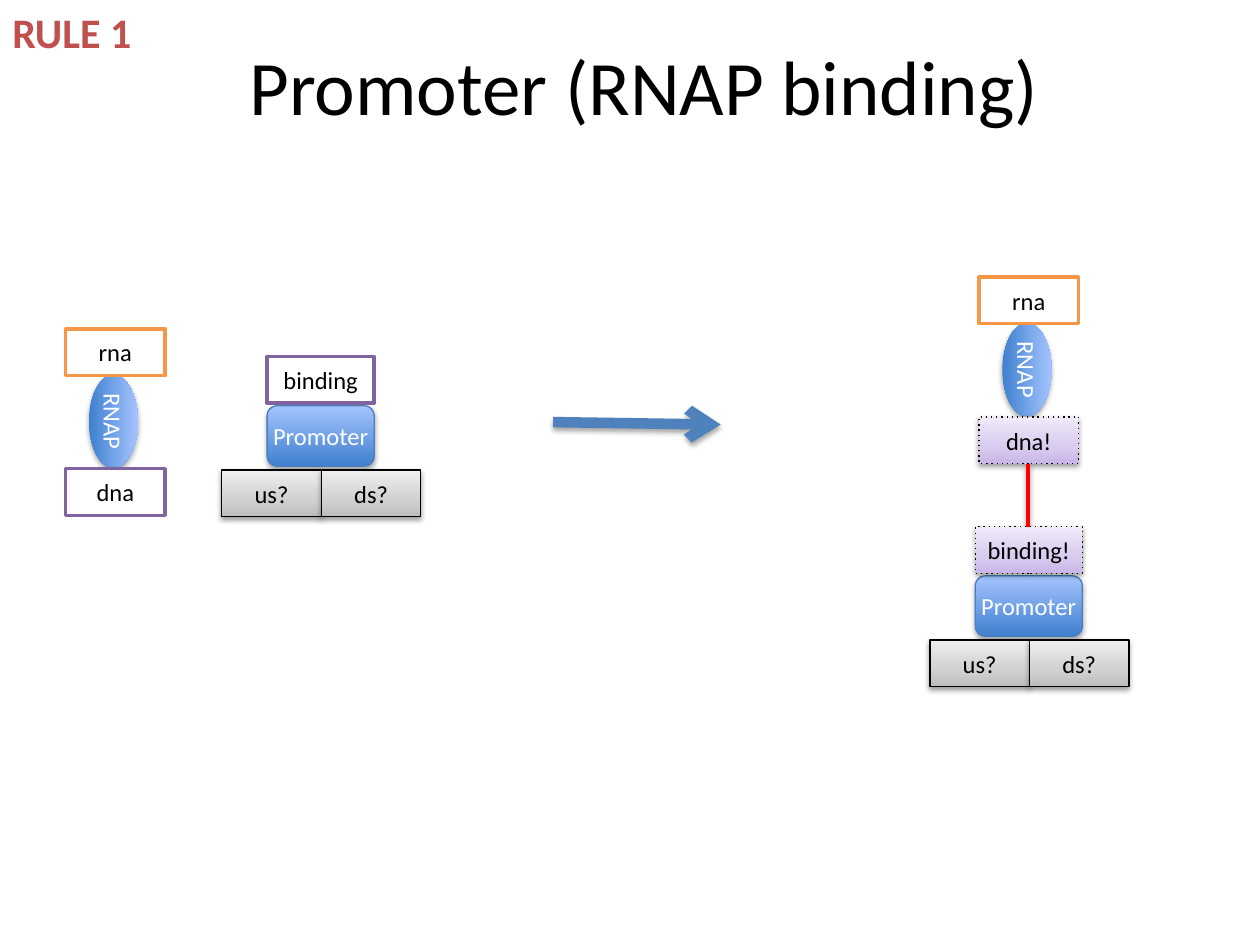
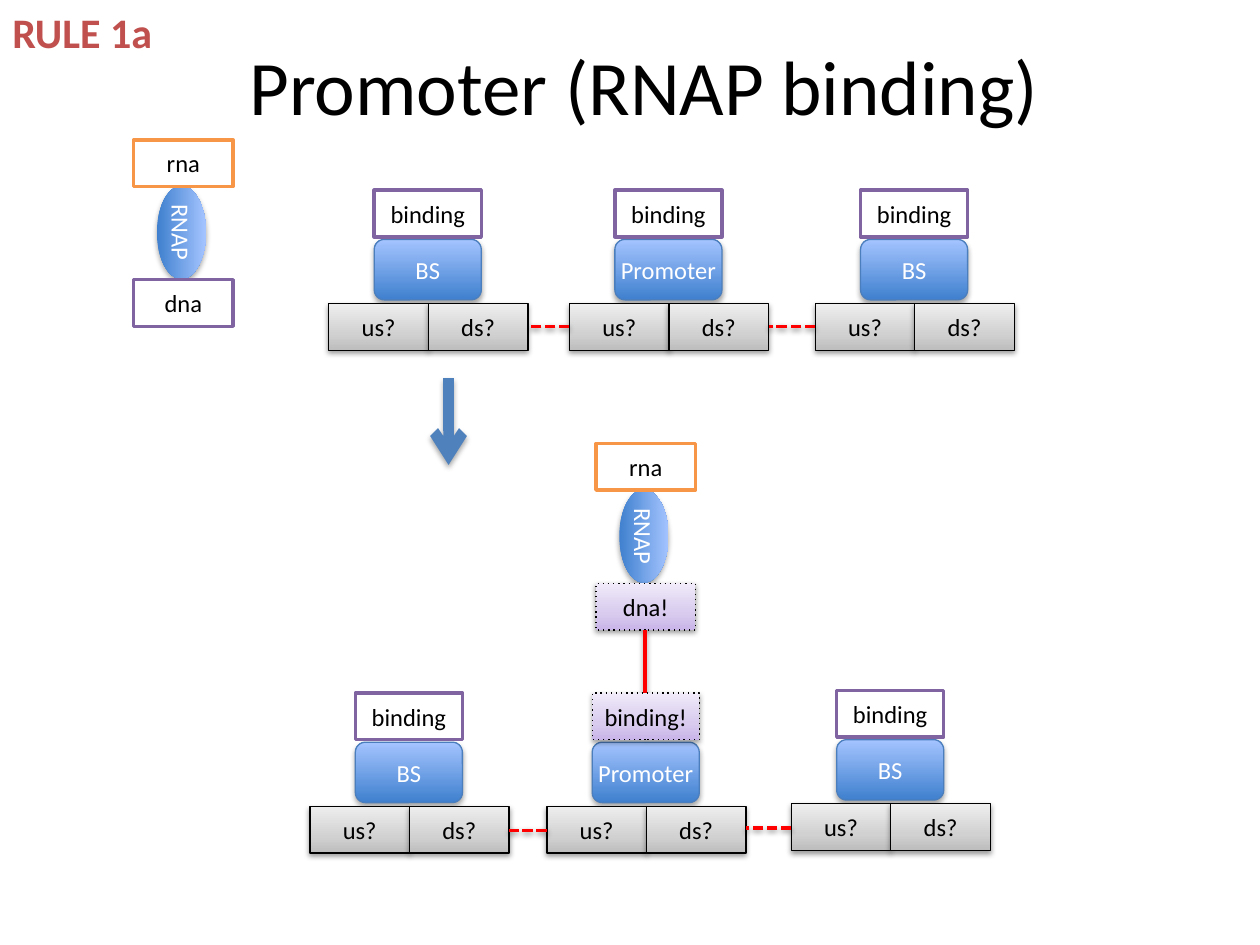
from lxml import etree
from pptx import Presentation
from pptx import util as u
from pptx.dml.color import RGBColor
from pptx.enum import shapes, text
from pptx.oxml.ns import qn

SCALE = u.Inches(1) // 100
FONT = "Calibri"
BLACK = RGBColor(0x00, 0x00, 0x00)
WHITE = RGBColor(0xFF, 0xFF, 0xFF)
RED = RGBColor(0xFF, 0x00, 0x00)
RULE_RED = RGBColor(0xC0, 0x50, 0x4D)
PURPLE = RGBColor(0x80, 0x64, 0xA2)
ORANGE = RGBColor(0xF7, 0x96, 0x46)
ARROW_BLUE = RGBColor(0x4F, 0x81, 0xBD)
EDGE_BLUE = RGBColor(0x4B, 0x7E, 0xBC)
BLUE_GRADIENT = ((0, RGBColor(0x3F, 0x80, 0xCE)), (100, RGBColor(0xA4, 0xC4, 0xFF)))
GREY_GRADIENT = (
    (0, RGBColor(0xBD, 0xBD, 0xBD)),
    (35, RGBColor(0xD1, 0xD1, 0xD1)),
    (100, RGBColor(0xEE, 0xEE, 0xEE)),
)
PURPLE_GRADIENT = (
    (0, RGBColor(0xC9, 0xB5, 0xE8)),
    (35, RGBColor(0xD8, 0xCB, 0xEE)),
    (100, RGBColor(0xF0, 0xEA, 0xF9)),
)
STRONG_SHADOW = (35, 1.8)
SOFT_SHADOW = (38, 1.6)

SITE_WIDTH, SITE_HEIGHT = 79, 37
BINDING_WIDTH, BODY_HEIGHT = 85, 48
RNAP_LENGTH, RNAP_WIDTH = 74, 39
DNA_DROP = 111
BODY_DROP, ENDS_DROP = 39, 90
US_OFFSET, DS_OFFSET = -36, 43


def px(value):
    return u.Emu(value * SCALE)


def write(frame, content, size=14, color=BLACK, bold=False, align=text.PP_ALIGN.CENTER,
          anchor=text.MSO_ANCHOR.MIDDLE, wrap=True, inset=4):
    frame.word_wrap = wrap
    frame.vertical_anchor = anchor
    frame.margin_left = frame.margin_right = px(inset)
    frame.margin_top = frame.margin_bottom = px(5)
    paragraph = frame.paragraphs[0]
    paragraph.alignment = align
    run = paragraph.add_run()
    run.text = content
    run.font.name = FONT
    run.font.size = u.Pt(size)
    run.font.bold = bold
    run.font.color.rgb = color


def add_child(parent, tag, **attributes):
    child = etree.SubElement(parent, qn(tag))
    for name, value in attributes.items():
        child.set(name, str(value))
    return child


class Diagram:
    def __init__(self):
        self.presentation = Presentation()
        self.presentation.slide_width = px(1000)
        self.presentation.slide_height = px(750)
        self.slide = None

    def start_slide(self, title, rule, rule_width):
        self.slide = self.presentation.slides.add_slide(self.presentation.slide_layouts[6])
        self.label(title, 23, 5, 977, 125, size=44, inset=10)
        self.label(rule, 0, 0, rule_width, 50, size=24, color=RULE_RED, bold=True,
                   align=text.PP_ALIGN.LEFT, anchor=text.MSO_ANCHOR.TOP, wrap=False, inset=10)

    def label(self, content, left, top, width, height, **style):
        box = self.slide.shapes.add_textbox(px(left), px(top), px(width), px(height))
        write(box.text_frame, content, **style)

    def outline(self, line, color, weight, dash=None):
        line.color.rgb = color
        line.width = u.Pt(weight)
        if dash:
            add_child(line._ln, "a:prstDash", val=dash)

    def shadow(self, properties, strength):
        effects = properties.find(qn("a:effectLst"))
        if effects is None:
            effects = add_child(properties, "a:effectLst")
        opacity, distance = strength
        outer = add_child(effects, "a:outerShdw", blurRad=u.Pt(3.1), dist=u.Pt(distance),
                          dir=5400000, rotWithShape=0)
        add_child(add_child(outer, "a:srgbClr", val=BLACK), "a:alpha", val=opacity * 1000)

    def gradient(self, fill, stops):
        fill.gradient()
        fill.gradient_angle = 90
        stop_list = fill._xPr.find(qn("a:gradFill")).find(qn("a:gsLst"))
        for stop in list(stop_list):
            stop_list.remove(stop)
        for position, color in stops:
            add_child(add_child(stop_list, "a:gs", pos=position * 1000), "a:srgbClr", val=color)

    def node(self, content, left, top, width, height, kind=shapes.MSO_SHAPE.RECTANGLE,
             gradient=None, edge=None, weight=0.75, dash=None, shadow=None, rotation=0, **style):
        shape = self.slide.shapes.add_shape(kind, px(left), px(top), px(width), px(height))
        shape.rotation = rotation
        if gradient:
            self.gradient(shape.fill, gradient)
        else:
            shape.fill.solid()
            shape.fill.fore_color.rgb = WHITE
        if edge is None:
            shape.line.fill.background()
        else:
            self.outline(shape.line, edge, weight, dash)
        shape.shadow.inherit = False
        if shadow:
            self.shadow(shape._element.spPr, shadow)
        write(shape.text_frame, content, **style)

    def line(self, start, end, color=RED, weight=2, dash=None, arrow=False, shadow=SOFT_SHADOW):
        connector = self.slide.shapes.add_connector(
            shapes.MSO_CONNECTOR.STRAIGHT, *map(px, start + end))
        self.outline(connector.line, color, weight, dash)
        if arrow:
            add_child(connector.line._ln, "a:tailEnd", type="arrow")
        self.shadow(connector._element.spPr, shadow)

    def reaction_arrow(self, start, end):
        self.line(start, end, color=ARROW_BLUE, weight=6, arrow=True, shadow=STRONG_SHADOW)

    def site(self, name, left, top, width, bound):
        if bound:
            self.node(name + "!", left, top, width, SITE_HEIGHT, gradient=PURPLE_GRADIENT,
                      edge=BLACK, dash="dot", shadow=SOFT_SHADOW)
        else:
            self.node(name, left, top, width, SITE_HEIGHT, edge=PURPLE, weight=2)

    def polymerase(self, left, top, bound=False):
        self.node("RNAP", left + 1, top + 54, RNAP_LENGTH, RNAP_WIDTH,
                  kind=shapes.MSO_SHAPE.OVAL, gradient=BLUE_GRADIENT, shadow=STRONG_SHADOW,
                  rotation=90, color=WHITE, inset=2)
        self.site("dna", left, top + DNA_DROP, SITE_WIDTH, bound)
        self.node("rna", left, top, SITE_WIDTH, SITE_HEIGHT, edge=ORANGE, weight=2)

    def gene(self, name, left, top, bound=False):
        self.node(name, left, top + BODY_DROP, BINDING_WIDTH, BODY_HEIGHT,
                  kind=shapes.MSO_SHAPE.ROUNDED_RECTANGLE, gradient=BLUE_GRADIENT,
                  edge=EDGE_BLUE, shadow=STRONG_SHADOW, color=WHITE, wrap=False)
        for end, offset in (("us?", US_OFFSET), ("ds?", DS_OFFSET)):
            self.node(end, left + offset, top + ENDS_DROP, SITE_WIDTH, SITE_HEIGHT,
                      gradient=GREY_GRADIENT, edge=BLACK, shadow=SOFT_SHADOW)
        self.site("binding", left, top, BINDING_WIDTH, bound)

    def bound_promoter(self, left, top):
        self.polymerase(left, top, bound=True)
        bond = left + 39
        dna_bottom = top + DNA_DROP + SITE_HEIGHT
        self.line((bond, dna_bottom), (bond, dna_bottom + 50))
        self.gene("Promoter", left - 3, dna_bottom + 50, bound=True)

    def neighbour_link(self, left_gene, right_gene, level):
        self.line((right_gene + US_OFFSET, level),
                  (left_gene + DS_OFFSET + SITE_WIDTH, level), dash="sysDash")


def main():
    title = "Promoter (RNAP binding)"
    diagram = Diagram()

    diagram.start_slide(title, "RULE 1", 116)
    diagram.polymerase(52, 261)
    diagram.bound_promoter(777, 220)
    diagram.reaction_arrow((439, 335), (572, 337))
    diagram.gene("Promoter", 212, 283)

    diagram.start_slide(title, "RULE 1a", 133)
    diagram.polymerase(106, 111)
    diagram.bound_promoter(473, 352)
    diagram.reaction_arrow((356, 300), (356, 369))
    diagram.gene("Promoter", 488, 151)
    for left, top in ((297, 151), (683, 151), (282, 550), (664, 548)):
        diagram.gene("BS", left, top)
    for left_gene, right_gene, level in (
            (297, 488, 259), (488, 683, 259), (282, 470, 659), (470, 664, 657)):
        diagram.neighbour_link(left_gene, right_gene, level)

    diagram.presentation.save("out.pptx")


if __name__ == "__main__":
    main()
